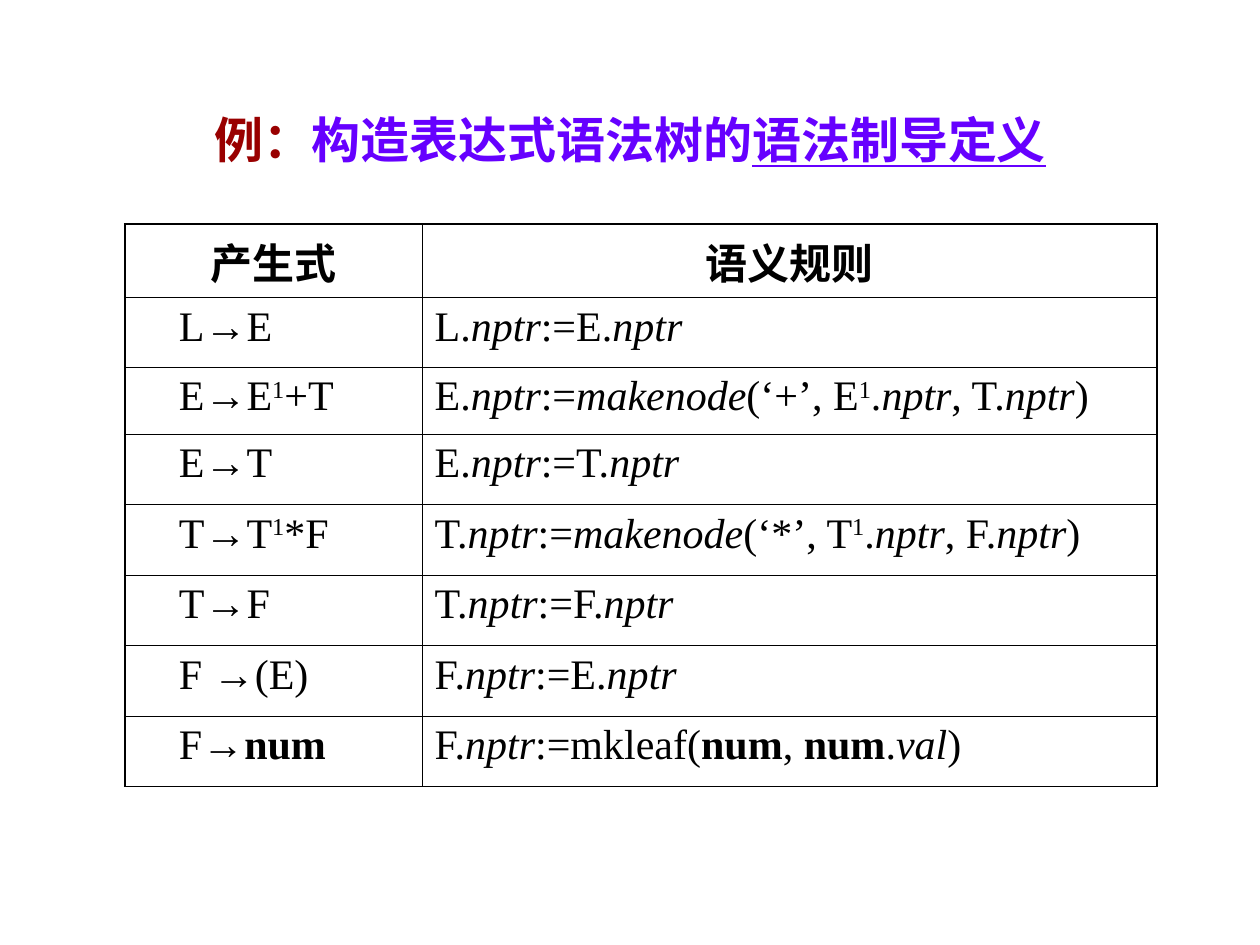
from dataclasses import dataclass

from pptx import Presentation
from pptx.dml.color import RGBColor
from pptx.enum.text import MSO_ANCHOR, PP_ALIGN as Align
from pptx.oxml.ns import qn
from pptx.util import Inches, Pt
from lxml.etree import SubElement


@dataclass(frozen=True)
class Theme:
    font: str = "Times New Roman"
    ink: str = "000000"
    label: str = "990000"
    heading: str = "6600FF"
    title_size: float = 28
    body_size: float = 24
    outer_line: float = 1.08
    inner_line: float = 0.45


THEME = Theme()

HEADING = [("例：", THEME.label, False),
           ("构造表达式语法树的", THEME.heading, False),
           ("语法制导定义", THEME.heading, True)]

# "|" separates runs; the runs named below get a special style
HEADER = ("产生式", "语义规则")
RULES = [
    ("L→E", "L.|nptr|:=E.|nptr"),
    ("E→E|1|+T", "E.|nptr|:=|makenode|(‘+’, E|1|.|nptr|, T.|nptr|)"),
    ("E→T", "E.|nptr|:=T.|nptr"),
    ("T→T|1|*F", "T.|nptr|:=|makenode|(‘*’, T|1|.|nptr|, F.|nptr|)"),
    ("T→F", "T.|nptr|:=F.|nptr"),
    ("F →(E)", "F.|nptr|:=E.|nptr"),
    ("F→|num", "F.|nptr|:=mkleaf(|num|, |num|.|val|)"),
]
ITALIC = {"nptr", "makenode", "val"}
BOLD = {"num"}
SUPERSCRIPT = {"1"}

COLUMN_WIDTHS = (2.36, 5.83)
ROW_HEIGHTS = (0.56, 0.55, 0.53) + (0.56,) * 5
PRODUCTION_INDENT = 0.33


def add_text(paragraph, text, size, color, bold=False, italic=False):
    run = paragraph.add_run()
    run.text = text
    font = run.font
    font.name, font.size = THEME.font, Pt(size)
    font.bold, font.italic = bold, italic
    font.color.rgb = RGBColor.from_string(color)
    return run


def set_borders(cell, widths):
    """Draw the cell edges; widths are in the order left, right, top, bottom."""
    properties = cell._tc.get_or_add_tcPr()
    for side, width in zip("LRTB", widths):
        line = SubElement(properties, qn(f"a:ln{side}"), w=str(Pt(width)))
        fill = SubElement(line, qn("a:solidFill"))
        SubElement(fill, qn("a:srgbClr"), val=THEME.ink)


def write_cell(cell, text, is_header, indent):
    paragraph = cell.text_frame.paragraphs[0]
    paragraph.alignment = Align.CENTER if is_header else Align.LEFT
    if indent:
        paragraph._p.get_or_add_pPr().set("marL", str(Inches(indent)))
    for part in text.split("|"):
        run = add_text(paragraph, part, THEME.body_size, THEME.ink,
                       bold=is_header or part in BOLD, italic=part in ITALIC)
        if part in SUPERSCRIPT:
            run.font._element.set("baseline", "30000")


def place_heading(slide, left, top, width, height):
    heading = slide.shapes.title
    heading.left, heading.top = Inches(left), Inches(top)
    heading.width, heading.height = Inches(width), Inches(height)
    frame = heading.text_frame
    frame.word_wrap = True
    frame.vertical_anchor = MSO_ANCHOR.MIDDLE
    paragraph = frame.paragraphs[0]
    paragraph.alignment = Align.CENTER
    for text, color, underlined in HEADING:
        run = add_text(paragraph, text, THEME.title_size, color, bold=True)
        run.font.underline = underlined


def place_rules(slide, left, top, width, height):
    rows = [HEADER] + RULES
    last_row, last_column = len(rows) - 1, len(HEADER) - 1
    table = slide.shapes.add_table(len(rows), len(HEADER), Inches(left), Inches(top),
                                   Inches(width), Inches(height)).table
    table.first_row = table.horz_banding = False
    for column, column_width in zip(table.columns, COLUMN_WIDTHS):
        column.width = Inches(column_width)
    for row, row_height in zip(table.rows, ROW_HEIGHTS):
        row.height = Inches(row_height)

    for r, texts in enumerate(rows):
        for c, text in enumerate(texts):
            cell = table.cell(r, c)
            cell.margin_left = cell.margin_right = Inches(0.1)
            cell.margin_top = cell.margin_bottom = Inches(0.05)
            indent = PRODUCTION_INDENT if r > 0 and c == 0 else 0
            write_cell(cell, text, r == 0, indent)
            # Heavier lines around the outside of the table
            on_edge = (c == 0, c == last_column, r == 0, r == last_row)
            set_borders(cell, [THEME.outer_line if edge else THEME.inner_line
                               for edge in on_edge])
            cell.fill.background()


def main():
    deck = Presentation()
    deck.slide_width, deck.slide_height = Inches(10), Inches(7.5)
    slide = deck.slides.add_slide(deck.slide_layouts[5])  # Title Only
    place_rules(slide, 0.99, 1.78, sum(COLUMN_WIDTHS), sum(ROW_HEIGHTS))
    place_heading(slide, 1.14, 0.82, 7.72, 0.57)
    deck.save("out.pptx")


if __name__ == "__main__":
    main()
